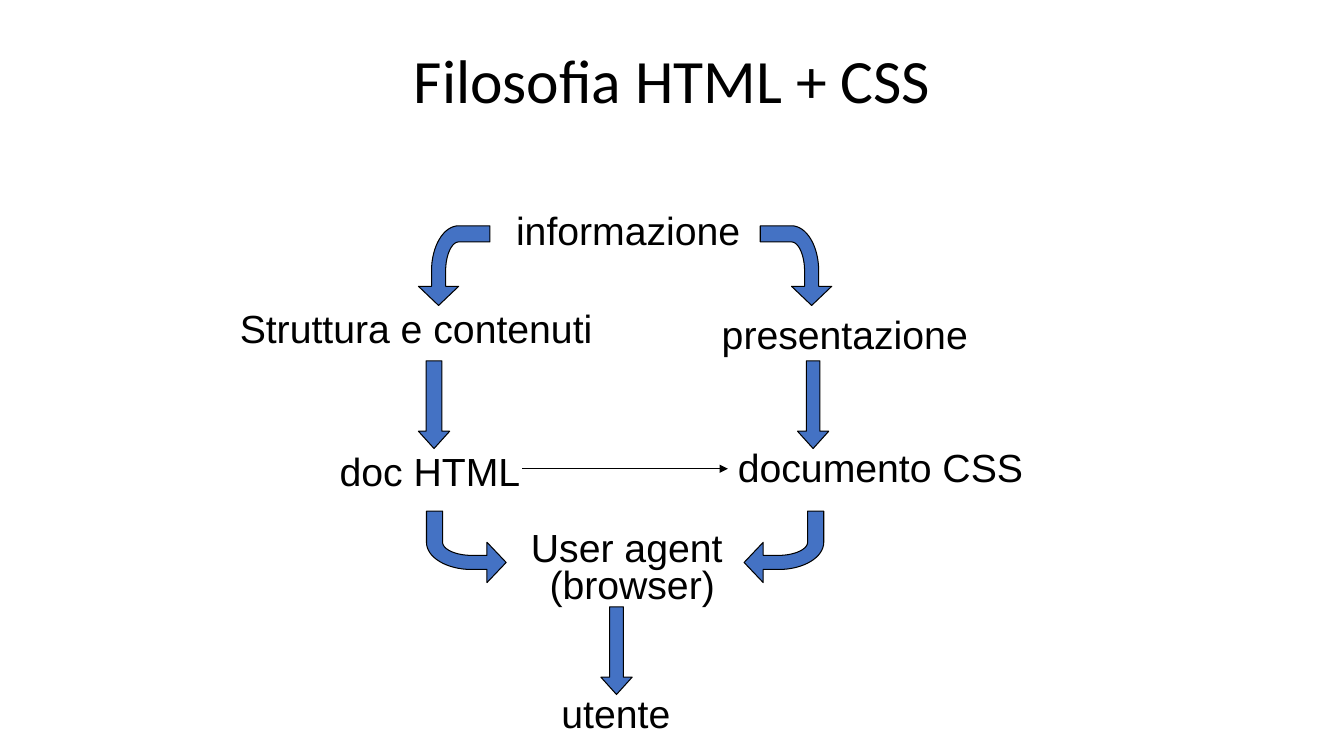
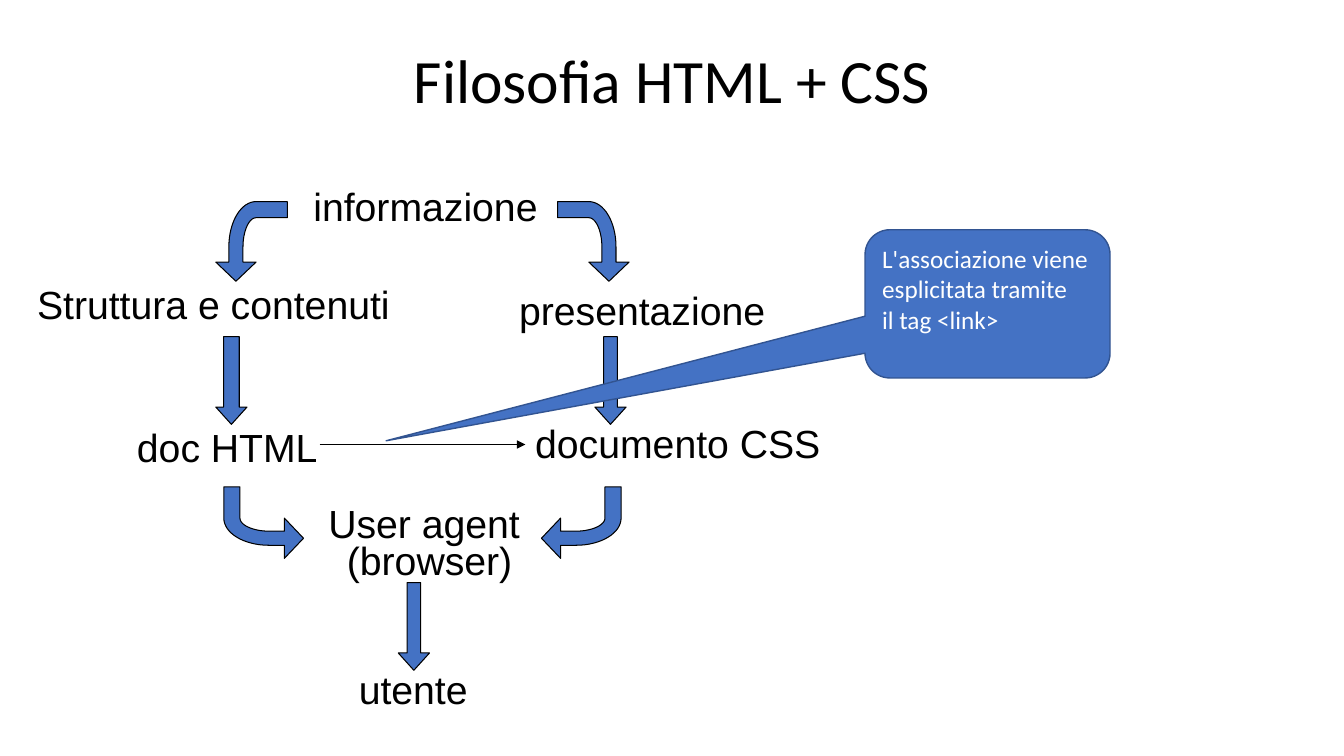
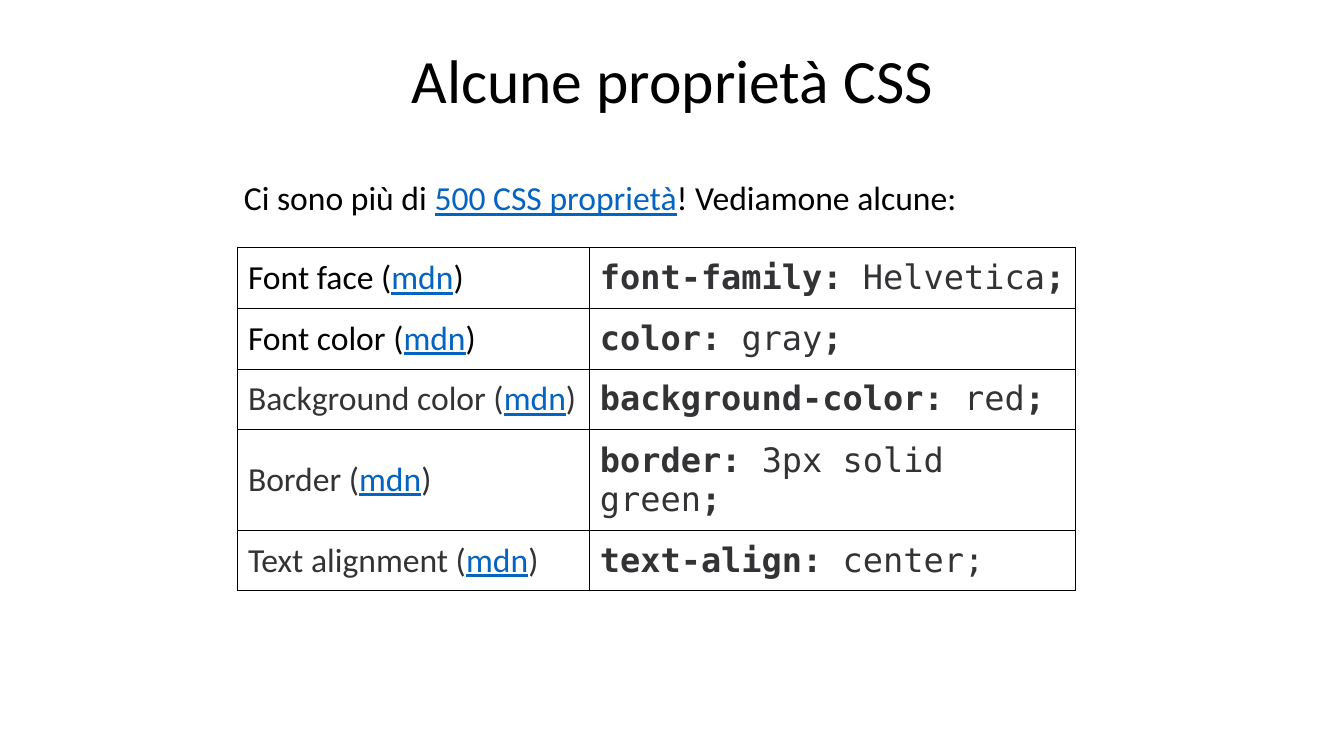
from dataclasses import dataclass

from lxml.etree import SubElement
from pptx import Presentation
from pptx.dml.color import RGBColor
from pptx.enum.shapes import MSO_CONNECTOR, MSO_SHAPE
from pptx.enum.text import MSO_ANCHOR as ANCHOR, MSO_AUTO_SIZE as AUTO, PP_ALIGN as ALIGN
from pptx.oxml.ns import qn
from pptx.util import Inches, Pt

BLACK, WHITE, GREY = "000000", "FFFFFF", "333336"
BLUE, DARK_BLUE, LINK = "4472C4", "325491", "0563C1"
BODY, DIAGRAM, CODE = "Calibri", "Arial", "DejaVu Sans Mono"


@dataclass
class Span:
    text: str
    color: str = BLACK
    font: str = BODY
    bold: bool = False
    underline: bool = False


@dataclass
class Label:
    text: str
    x: float
    y: float
    w: float
    h: float = 0.57


@dataclass
class Down:
    x: float
    y: float
    stem: float = 0.436


@dataclass
class Bend:
    """Bent arrow: tip position, direction across (+1 or -1), pointing down or sideways."""
    x: float
    y: float
    flip: int
    down: bool


@dataclass
class Property:
    name: str
    color: str
    key: str
    value: str
    end: str = ";"


LABELS = [
    Label("informazione", 5.02, 2, 2.43),
    Label("Struttura e contenuti", 2.28, 2.97, 3.74),
    Label("presentazione", 7.06, 3.03, 2.65),
    Label("doc HTML", 3.27, 4.39, 2.02),
    Label("documento CSS", 7.22, 4.35, 3.04),
    Label("User agent \n(browser)", 5.16, 5.23, 2.22, 0.85),
    Label("utente", 5.47, 6.79, 1.28),
]
DOWNS = [Down(4.15, 3.58, 0.503), Down(7.91, 3.58), Down(5.96, 6.02)]
BENDS = [
    Bend(8.05, 3.03, 1, True), Bend(4.35, 3.03, -1, True),
    Bend(5.02, 5.58, 1, False), Bend(7.38, 5.58, -1, False),
]
PROPERTIES = [
    Property("Font face", BLACK, "font-family: ", "Helvetica"),
    Property("Font color", BLACK, "color: ", "gray"),
    Property("Background color", GREY, "background-color: ", "red"),
    Property("Border", GREY, "border: ", "3px solid green"),
    Property("Text alignment", GREY, "text-align: ", "center;", ""),
]


def rgb(color: str) -> RGBColor:
    return RGBColor.from_string(color)


def style(r, size: float, color: str = BLACK, **values) -> None:
    for name, value in {"size": Pt(size), **values}.items():
        setattr(r.font, name, value)
    r.font.color.rgb = rgb(color)


def paint(sp, line: str = BLACK, width: float = 0.75) -> None:
    sp.shadow.inherit = False
    sp.fill.solid()
    sp.fill.fore_color.rgb = rgb(BLUE)
    sp.line.color.rgb = rgb(line)
    sp.line.width = Pt(width)


def add_spans(p, spans: list[Span], size: float = 24) -> None:
    for span in spans:
        r = p.add_run()
        r.text = span.text
        style(r, size, span.color, name=span.font, bold=span.bold, underline=span.underline)


def text_box(s, x: float, y: float, w: float, h: float, inset: float = 0.1):
    tf = s.shapes.add_textbox(Inches(x), Inches(y), Inches(w), Inches(h)).text_frame
    tf.word_wrap = True
    tf.margin_top = tf.margin_bottom = Inches(inset)
    return tf


def new_slide(prs, title: str):
    s = prs.slides.add_slide(prs.slide_layouts[6])
    p = text_box(s, 0.92, 0.4, 11.5, 1.45).paragraphs[0]
    p.alignment, p.line_spacing = ALIGN.CENTER, 0.9
    add_spans(p, [Span(title)], 44)
    return s


# Diagram parts
def draw_label(s, label: Label, dx: float, dy: float) -> None:
    tf = text_box(s, label.x + dx, label.y + dy, label.w, label.h, 0.05)
    tf.word_wrap, tf.auto_size = False, AUTO.SHAPE_TO_FIT_TEXT
    p = tf.paragraphs[0]
    p.text = label.text
    if "\n" in label.text:
        p.alignment, p.line_spacing = ALIGN.CENTER, 0.8
    for r in p.runs:
        style(r, 28, name=DIAGRAM)


def draw_down(s, arrow: Down, dx: float, dy: float) -> None:
    sp = s.shapes.add_shape(MSO_SHAPE.DOWN_ARROW, Inches(arrow.x + dx), Inches(arrow.y + dy),
                            Inches(0.31), Inches(0.87))
    sp.adjustments[0], sp.adjustments[1] = arrow.stem, 0.553
    paint(sp)


def curve(a, b, c, d, steps: int = 16) -> list[tuple[float, float]]:
    """Points on a cubic Bezier curve from a to d."""
    return [tuple((1 - t) ** 3 * i + 3 * t * (1 - t) ** 2 * j + 3 * t * t * (1 - t) * k + t ** 3 * m
                  for i, j, k, m in zip(a, b, c, d))
            for t in (n / steps for n in range(steps + 1))]


# Outline as (sideways, back) distances from the tip
BEND_OUTLINE = [
    (0, 0), (0.2, 0.19), (0.07, 0.19),
    *curve((0.07, 0.34), (0.07, 0.59), (-0.05, 0.79), (-0.2, 0.79)),
    (-0.51, 0.79), (-0.51, 0.63),
    *curve((-0.2, 0.63), (-0.13, 0.63), (-0.07, 0.5), (-0.07, 0.34)),
    (-0.07, 0.19), (-0.2, 0.19),
]


def draw_bend(s, bend: Bend, dx: float, dy: float) -> None:
    points = []
    for side, back in BEND_OUTLINE:
        across, drop = (side, -back) if bend.down else (-back, side)
        points.append((Inches(bend.x + dx + bend.flip * across), Inches(bend.y + dy + drop)))
    builder = s.shapes.build_freeform(*points[0])
    builder.add_line_segments(points[1:], close=True)
    paint(builder.convert_to_shape())


def draw_link_arrow(s, dx: float, dy: float) -> None:
    y = Inches(4.65 + dy)
    line = s.shapes.add_connector(MSO_CONNECTOR.STRAIGHT, Inches(5.18 + dx), y, Inches(7.22 + dx), y)
    line.line.color.rgb = rgb(BLACK)
    line.line.width = Pt(0.75)
    SubElement(line.line._get_or_add_ln(), qn("a:tailEnd"), type="triangle")
    SubElement(line._element.spPr, qn("a:effectLst"))


def draw_diagram(s, dx: float = 0, dy: float = 0) -> None:
    for draw, items in ((draw_label, LABELS), (draw_bend, BENDS), (draw_down, DOWNS)):
        for item in items:
            draw(s, item, dx, dy)
    draw_link_arrow(s, dx, dy)


def draw_callout(s, lines: list[str]) -> None:
    sp = s.shapes.add_shape(MSO_SHAPE.ROUNDED_RECTANGULAR_CALLOUT, Inches(8.58), Inches(2.28),
                            Inches(2.43), Inches(1.47))
    for i, value in enumerate((-2.455, 0.924, 0.167)):
        sp.adjustments[i] = value
    paint(sp, DARK_BLUE, 1)
    tf = sp.text_frame
    tf.word_wrap, tf.vertical_anchor = True, ANCHOR.MIDDLE
    tf.margin_bottom = Inches(0.35)
    for i, line in enumerate(lines):
        p = tf.add_paragraph() if i else tf.paragraphs[0]
        p.alignment = ALIGN.LEFT
        add_spans(p, [Span(line, WHITE)], 18)


# Property table
def fill_cell(cell, spans: list[Span]) -> None:
    cell.vertical_anchor = ANCHOR.MIDDLE
    for side in ("left", "right", "top", "bottom"):
        setattr(cell, f"margin_{side}", Inches(0.1))
    tc_pr = cell._tc.get_or_add_tcPr()
    for tag in ("a:lnL", "a:lnR", "a:lnT", "a:lnB"):
        ln = SubElement(tc_pr, qn(tag), w=str(Pt(0.75)))
        SubElement(SubElement(ln, qn("a:solidFill")), qn("a:srgbClr"), val=BLACK)
    cell.fill.background()
    add_spans(cell.text_frame.paragraphs[0], spans)


def draw_table(s, properties: list[Property]) -> None:
    table = s.shapes.add_table(len(properties), 2, Inches(2.36), Inches(2.46),
                               Inches(8.31), Inches(3)).table
    table.first_row = table.horz_banding = False
    for column, width in zip(table.columns, (3.49, 4.82)):
        column.width = Inches(width)
    for i, prop in enumerate(properties):
        fill_cell(table.cell(i, 0), [Span(f"{prop.name} (", prop.color),
                                     Span("mdn", LINK, underline=True), Span(")", prop.color)])
        parts = ((prop.key, True), (prop.value, False), (prop.end, True))
        fill_cell(table.cell(i, 1), [Span(text, GREY, CODE, bold) for text, bold in parts if text])


def main() -> None:
    prs = Presentation()
    prs.slide_width, prs.slide_height = Inches(13.33), Inches(7.5)

    # Slide 1: the diagram
    draw_diagram(new_slide(prs, "Filosofia HTML + CSS"))

    # Slide 2: the diagram moved aside, with a callout
    s = new_slide(prs, "Filosofia HTML + CSS")
    draw_diagram(s, -2.01, -0.24)
    draw_callout(s, ["L'associazione viene", "esplicitata tramite", "il tag <link>"])

    # Slide 3: CSS properties
    s = new_slide(prs, "Alcune proprietà CSS")
    draw_table(s, PROPERTIES)
    add_spans(text_box(s, 2.32, 1.66, 8.95, 0.7).paragraphs[0],
              [Span("Ci sono più di "), Span("500 CSS proprietà", LINK, underline=True),
               Span("! Vediamone alcune:")])

    prs.save("out.pptx")


if __name__ == "__main__":
    main()
